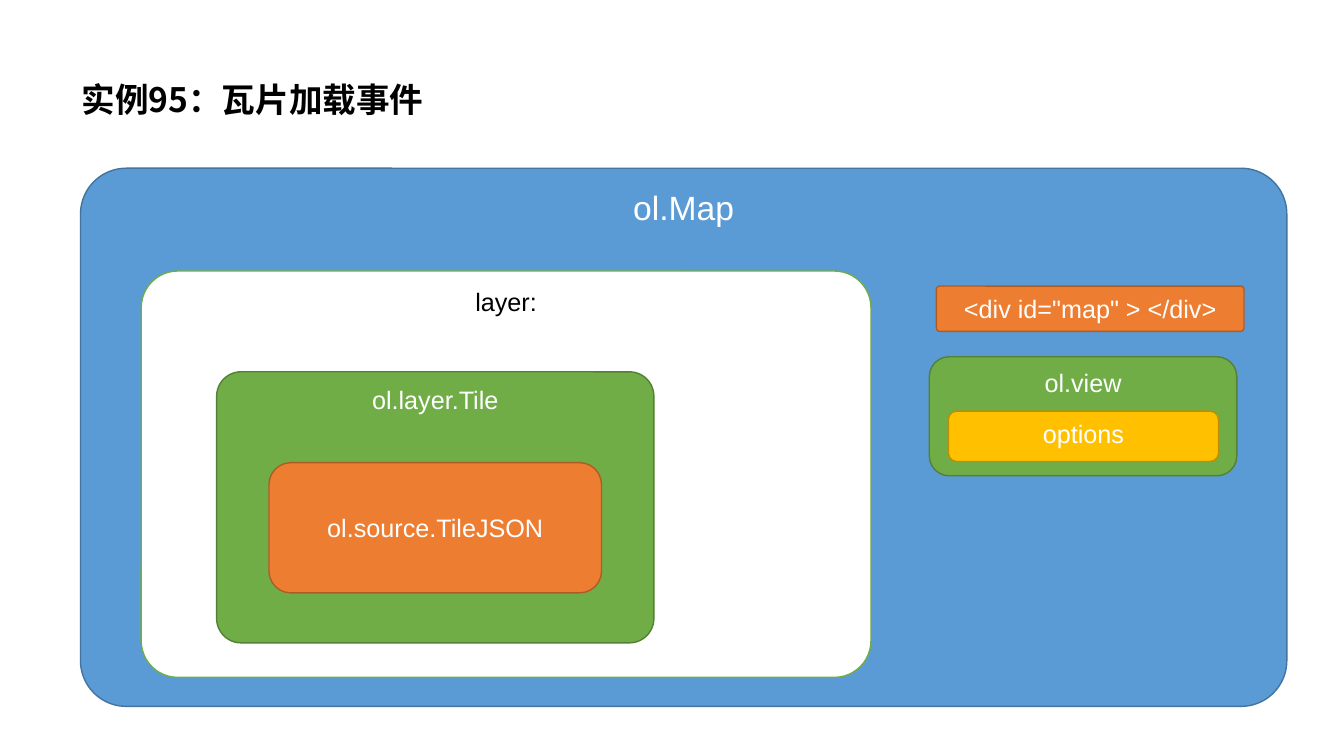
from dataclasses import dataclass

from lxml.etree import SubElement
from pptx import Presentation
from pptx.dml.color import RGBColor as RGB
from pptx.enum.shapes import MSO_SHAPE as Preset
from pptx.enum.text import MSO_ANCHOR as Anchor, MSO_AUTO_SIZE as AutoSize, PP_ALIGN as Align
from pptx.oxml.ns import qn
from pptx.util import Cm, Pt


@dataclass(frozen=True)
class Theme:
    # Fonts and type sizes
    latin: str = "Arial"
    chinese: str = "Noto Sans CJK SC"
    heading: int = 24
    label: int = 18
    border: int = 1
    # Colours
    black: str = "000000"
    white: str = "FFFFFF"
    # Fill and line pairs
    blue: tuple = ("5B9BD5", "43739E")
    green: tuple = ("70AD47", "538035")
    orange: tuple = ("ED7D31", "AF5C24")
    gold: tuple = ("FFC000", "BD8E00")
    paper: tuple = ("FFFFFF", "70AD47")


class Diagram:
    def __init__(self, slide, theme):
        self.slide = slide
        self.theme = theme

    def style_text(self, frame, size, color, font, align, anchor, bold=False):
        frame.word_wrap = True
        frame.auto_size = AutoSize.NONE
        frame.vertical_anchor = anchor
        paragraph = frame.paragraphs[0]
        paragraph.alignment = align
        for run in paragraph.runs:
            run.font.name = font
            run.font.size = Pt(size)
            run.font.bold = bold
            run.font.color.rgb = RGB.from_string(color)
            # East Asian characters take their own typeface
            SubElement(run.font._element, qn("a:ea")).set("typeface", self.theme.chinese)

    def title(self, text, left, top, width, height):
        heading = self.slide.shapes.title
        heading.left, heading.top = Cm(left), Cm(top)
        heading.width, heading.height = Cm(width), Cm(height)
        heading.text_frame.text = text
        heading.text_frame.paragraphs[0].line_spacing = 0.9
        self.style_text(heading.text_frame, self.theme.heading, self.theme.black,
                        self.theme.chinese, Align.LEFT, Anchor.MIDDLE, bold=True)

    def group(self):
        return self.slide.shapes.add_group_shape()

    def box(self, text, left, top, width, height, colors, corner=0.167,
            anchor=Anchor.TOP, size=None, color=None, parent=None):
        shapes = (parent or self.slide).shapes
        panel = shapes.add_shape(Preset.ROUNDED_RECTANGLE,
                                 Cm(left), Cm(top), Cm(width), Cm(height))
        panel.adjustments[0] = corner
        panel.shadow.inherit = False
        fill, line = colors
        panel.fill.solid()
        panel.fill.fore_color.rgb = RGB.from_string(fill)
        panel.line.color.rgb = RGB.from_string(line)
        panel.line.width = Pt(self.theme.border)
        panel.text_frame.text = text
        self.style_text(panel.text_frame, size or self.theme.label,
                        color or self.theme.white, self.theme.latin, Align.CENTER, anchor)


theme = Theme()
deck = Presentation()
deck.slide_width, deck.slide_height = Cm(33.87), Cm(19.05)
diagram = Diagram(deck.slides.add_slide(deck.slide_layouts[5]), theme)

# Heading
diagram.title("实例95：瓦片加载事件", 1.8, 0.71, 29.21, 3.68)

# Map container and its target element
diagram.box("ol.Map", 2.03, 4.24, 30.4, 13.56, theme.blue, corner=0.085, size=theme.heading)
diagram.box('<div id="map" > </div>', 23.6, 7.21, 7.75, 1.14, theme.orange,
            corner=0.07, anchor=Anchor.MIDDLE)

# View with its options
view = diagram.group()
diagram.box("ol.view", 23.42, 8.99, 7.75, 3, theme.green, parent=view)
diagram.box("options", 23.9, 10.36, 6.81, 1.27, theme.gold, parent=view)

# Layer, tile and source, nested
diagram.box("layer:", 3.56, 6.83, 18.39, 10.24, theme.paper, corner=0.09, color=theme.black)
diagram.box("ol.layer.Tile", 5.46, 9.37, 11.02, 6.83, theme.green, corner=0.09)
diagram.box("ol.source.TileJSON", 6.78, 11.66, 8.38, 3.28, theme.orange, anchor=Anchor.MIDDLE)

deck.save("out.pptx")
